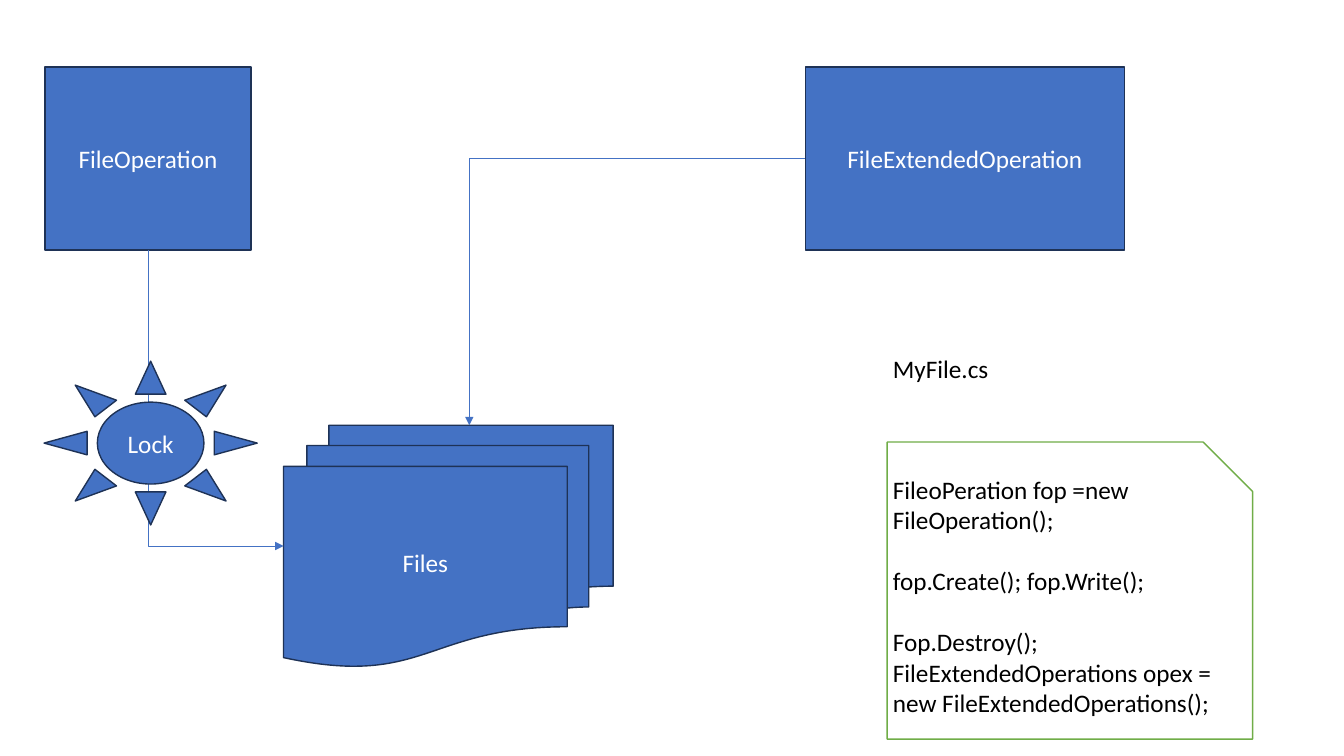
from dataclasses import dataclass

from lxml import etree
from pptx import Presentation
from pptx.dml.color import RGBColor
from pptx.enum.shapes import MSO_CONNECTOR, MSO_SHAPE
from pptx.enum.text import MSO_ANCHOR, MSO_AUTO_SIZE, PP_ALIGN
from pptx.oxml.ns import qn
from pptx.util import Pt

PX = 9525
BLUE = RGBColor(0x44, 0x72, 0xC4)
NAVY = RGBColor(0x1E, 0x32, 0x56)
GREEN = RGBColor(0x70, 0xAD, 0x47)
WHITE = RGBColor(0xFF, 0xFF, 0xFF)
BLACK = RGBColor(0x00, 0x00, 0x00)

RECTANGLE = MSO_SHAPE.RECTANGLE
DOCUMENTS = MSO_SHAPE.FLOWCHART_MULTIDOCUMENT
SNIPPED = MSO_SHAPE.SNIP_1_RECTANGLE
SUN = MSO_SHAPE.SUN
ELBOW = MSO_CONNECTOR.ELBOW
MIDDLE = MSO_ANCHOR.MIDDLE
CENTER = PP_ALIGN.CENTER
LEFT = PP_ALIGN.LEFT
GROW = MSO_AUTO_SIZE.SHAPE_TO_FIT_TEXT
TOP_SITE, LEFT_SITE, BOTTOM_SITE = 0, 1, 2
QUARTER_TURN_BACK = "16200000"
FONT = {"name": "Calibri", "size": Pt(18)}
CODE_LINE = Pt(22)


@dataclass
class Node:
    kind: int
    box: tuple[int, int, int, int]
    label: str = ""
    fill: RGBColor = BLUE
    line: RGBColor = NAVY


@dataclass
class Arrow:
    source: str
    source_site: int
    target: str
    target_site: int
    start: tuple[int, int]
    end: tuple[int, int]
    starts_down: bool


@dataclass
class Note:
    box: tuple[int, int, int, int]
    lines: list[tuple[str, int]]  # text and space before


NODES = [
    Node(RECTANGLE, (43, 64, 196, 174), "FileOperation"),
    Node(RECTANGLE, (767, 64, 304, 174), "FileExtendedOperation"),
    Node(DOCUMENTS, (270, 405, 314, 230), "Files"),
]
ARROWS = [
    Arrow("FileOperation", BOTTOM_SITE, "Files", LEFT_SITE,
          (141, 238), (270, 520), True),
    Arrow("FileExtendedOperation", LEFT_SITE, "Files", TOP_SITE,
          (767, 151), (447, 405), False),
]
CODE_FRAME = Node(SNIPPED, (845, 421, 348, 283), fill=WHITE, line=GREEN)
NOTES = [
    Note((841, 332, 335, 38), [("MyFile.cs", 0)]),
    Note((841, 447, 362, 272), [
        ("FileoPeration fop =new FileOperation();", 0),
        ("fop.Create(); fop.Write();", CODE_LINE),
        ("Fop.Destroy();", CODE_LINE),
        ("FileExtendedOperations opex = new FileExtendedOperations();", 0),
    ]),
]
LOCK = Node(SUN, (42, 344, 203, 156), "Lock")


def emu(*lengths: float) -> list[int]:
    return [int(length * PX) for length in lengths]


def write(paragraph, text: str, color: RGBColor, alignment) -> None:
    paragraph.text = text
    paragraph.alignment = alignment
    for name, value in FONT.items():
        setattr(paragraph.font, name, value)
    paragraph.font.color.rgb = color


def draw_node(slide, node: Node):
    shape = slide.shapes.add_shape(node.kind, *emu(*node.box))
    shape.shadow.inherit = False
    shape.fill.solid()
    shape.fill.fore_color.rgb = node.fill
    shape.line.color.rgb = node.line
    shape.line.width = Pt(1)
    if node.label:
        shape.text_frame.vertical_anchor = MIDDLE
        write(shape.text_frame.paragraphs[0], node.label, WHITE, CENTER)
    return shape


def draw_arrow(slide, arrow: Arrow, shapes: dict) -> None:
    (x1, y1), (x2, y2) = arrow.start, arrow.end
    connector = slide.shapes.add_connector(ELBOW, *emu(x1, y1, x2, y2))
    connector.begin_connect(shapes[arrow.source], arrow.source_site)
    connector.end_connect(shapes[arrow.target], arrow.target_site)

    # One bend; an arrow that starts downwards is turned about its centre
    properties = connector._element.spPr
    properties.find(qn("a:prstGeom")).set("prst", "bentConnector2")
    frame = properties.find(qn("a:xfrm"))
    frame.set("flipH", "1")
    width, height = abs(x2 - x1), abs(y2 - y1)
    if arrow.starts_down:
        frame.set("rot", QUARTER_TURN_BACK)
        width, height = height, width
    box = emu((x1 + x2 - width) / 2, (y1 + y2 - height) / 2, width, height)
    for name, value in zip(("left", "top", "width", "height"), box):
        setattr(connector, name, value)

    connector.line.color.rgb = BLUE
    connector.line.width = Pt(0.5)
    line = properties.find(qn("a:ln"))
    etree.SubElement(line, qn("a:tailEnd")).set("type", "triangle")
    etree.SubElement(properties, qn("a:effectLst"))


def draw_note(slide, note: Note) -> None:
    frame = slide.shapes.add_textbox(*emu(*note.box)).text_frame
    frame.word_wrap = True
    frame.auto_size = GROW
    for index, (text, space_before) in enumerate(note.lines):
        paragraph = frame.add_paragraph() if index else frame.paragraphs[0]
        write(paragraph, text, BLACK, LEFT)
        paragraph.space_before = space_before


def main() -> None:
    presentation = Presentation()
    presentation.slide_width, presentation.slide_height = emu(1280, 720)
    slide = presentation.slides.add_slide(presentation.slide_layouts[6])

    # Classes and the files they work on
    shapes = {node.label: draw_node(slide, node) for node in NODES}
    for arrow in ARROWS:
        draw_arrow(slide, arrow, shapes)

    # Code listing
    draw_node(slide, CODE_FRAME)
    for note in NOTES:
        draw_note(slide, note)

    # Lock over the first arrow
    draw_node(slide, LOCK)
    presentation.save("out.pptx")


if __name__ == "__main__":
    main()
